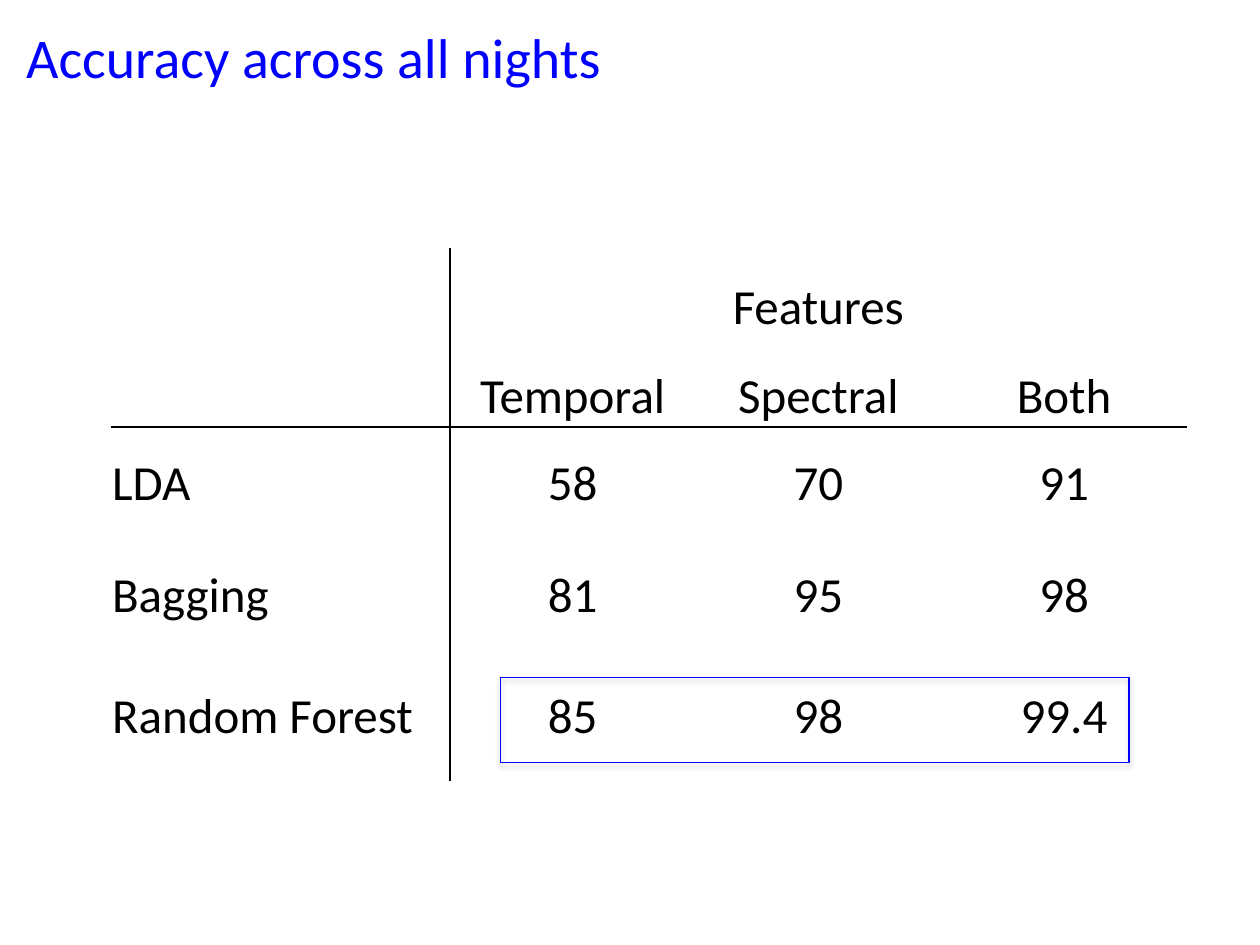
from pptx import Presentation
from pptx.dml.color import RGBColor
from pptx.enum import shapes, text
from pptx.oxml import parse_xml
from pptx.oxml.ns import nsdecls
from pptx.util import Inches, Pt


def style(para, size, color):
    for run in para.runs:
        run.font.name = "Calibri"
        run.font.size = Pt(size)
        run.font.color.rgb = RGBColor.from_string(color)


def border(cell, side, show):
    fill = '<a:solidFill><a:srgbClr val="000000"/></a:solidFill>' if show else "<a:noFill/>"
    width = Pt(1) if show else 0
    cell._tc.get_or_add_tcPr().append(
        parse_xml(f'<a:ln{side} {nsdecls("a")} w="{width}">{fill}</a:ln{side}>'))


prs = Presentation()
prs.slide_width = Inches(10)
prs.slide_height = Inches(7.5)
slide = prs.slides.add_slide(prs.slide_layouts[6])

rows = [
    ["", "Features", "", ""],
    ["", "Temporal", "Spectral", "Both"],
    ["LDA", "58", "70", "91"],
    ["Bagging", "81", "95", "98"],
    ["Random Forest", "85", "98", "99.4"],
]
frame = slide.shapes.add_table(5, 4, Inches(0.88), Inches(1.97), Inches(8.54), Inches(4.23))
table = frame.table
table.first_row = False
table.horz_banding = False
for col, width in zip(table.columns, [2.69, 1.95, 1.95, 1.95]):
    col.width = Inches(width)
for row, height in zip(table.rows, [0.71, 0.71, 0.89, 0.89, 1.03]):
    row.height = Inches(height)

for r, row in enumerate(rows):
    for c, word in enumerate(row):
        cell = table.cell(r, c)
        cell.margin_left = cell.margin_right = cell.margin_top = Inches(0.01)
        cell.margin_bottom = 0
        cell.vertical_anchor = text.MSO_ANCHOR.BOTTOM if r < 2 else text.MSO_ANCHOR.MIDDLE
        border(cell, "L", c == 1)
        border(cell, "R", c == 0)
        border(cell, "T", r == 2)
        border(cell, "B", r == 1)
        cell.fill.background()
        if word:
            cell.text_frame.text = word
            para = cell.text_frame.paragraphs[0]
            para.alignment = text.PP_ALIGN.CENTER if c else text.PP_ALIGN.LEFT
            style(para, 28, "000000")
table.cell(0, 1).merge(table.cell(0, 3))

title = slide.shapes.add_textbox(Inches(0.11), Inches(-0.18), Inches(9), Inches(1.25))
title.text_frame.word_wrap = True
title.text_frame.vertical_anchor = text.MSO_ANCHOR.MIDDLE
title.text_frame.text = "Accuracy across all nights"
style(title.text_frame.paragraphs[0], 32, "0000FF")

box = slide.shapes.add_shape(
    shapes.MSO_SHAPE.RECTANGLE, Inches(3.97), Inches(5.38), Inches(4.99), Inches(0.67))
box.fill.background()
box.line.color.rgb = RGBColor.from_string("0000FF")
box.line.width = Pt(0.75)
box._element.spPr.append(parse_xml(
    f'<a:effectLst {nsdecls("a")}>'
    f'<a:outerShdw blurRad="{Pt(3.1)}" dist="{Pt(1.8)}" dir="5400000" rotWithShape="0">'
    '<a:srgbClr val="000000"><a:alpha val="35000"/></a:srgbClr>'
    '</a:outerShdw></a:effectLst>'))

prs.save("out.pptx")
